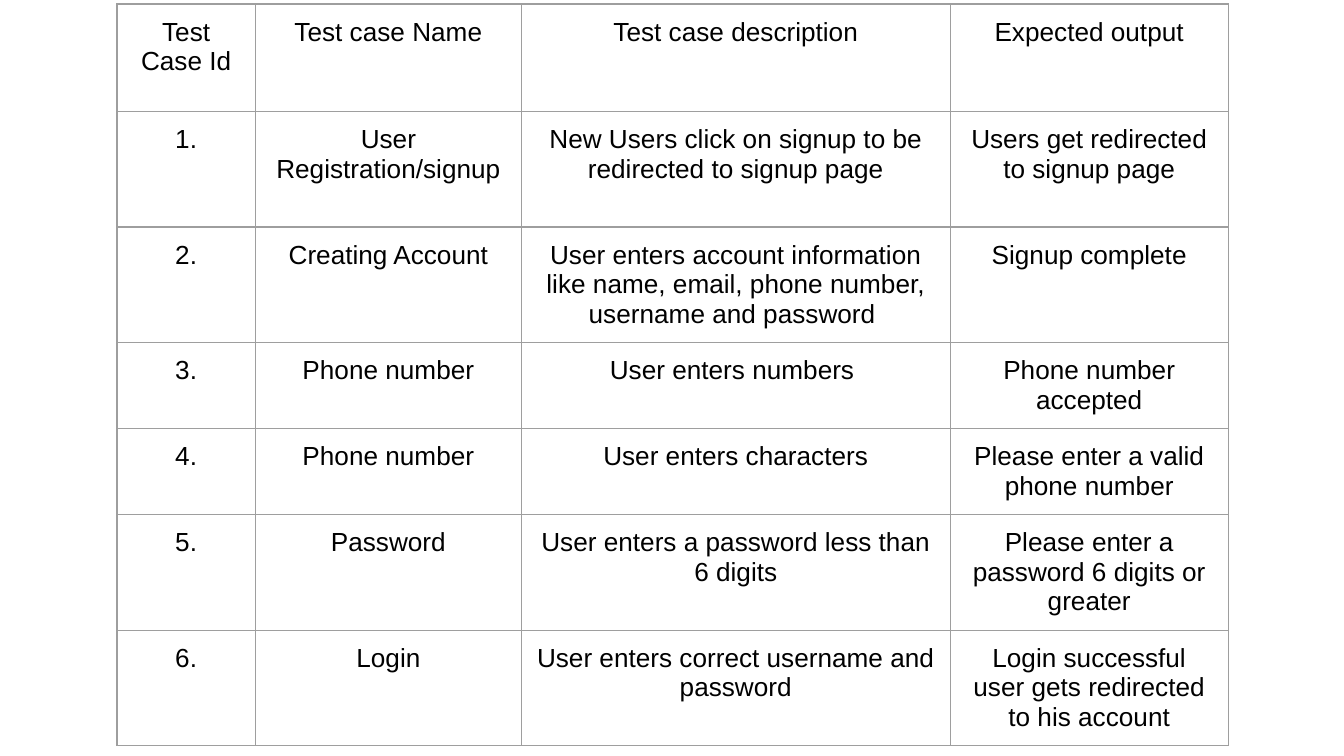
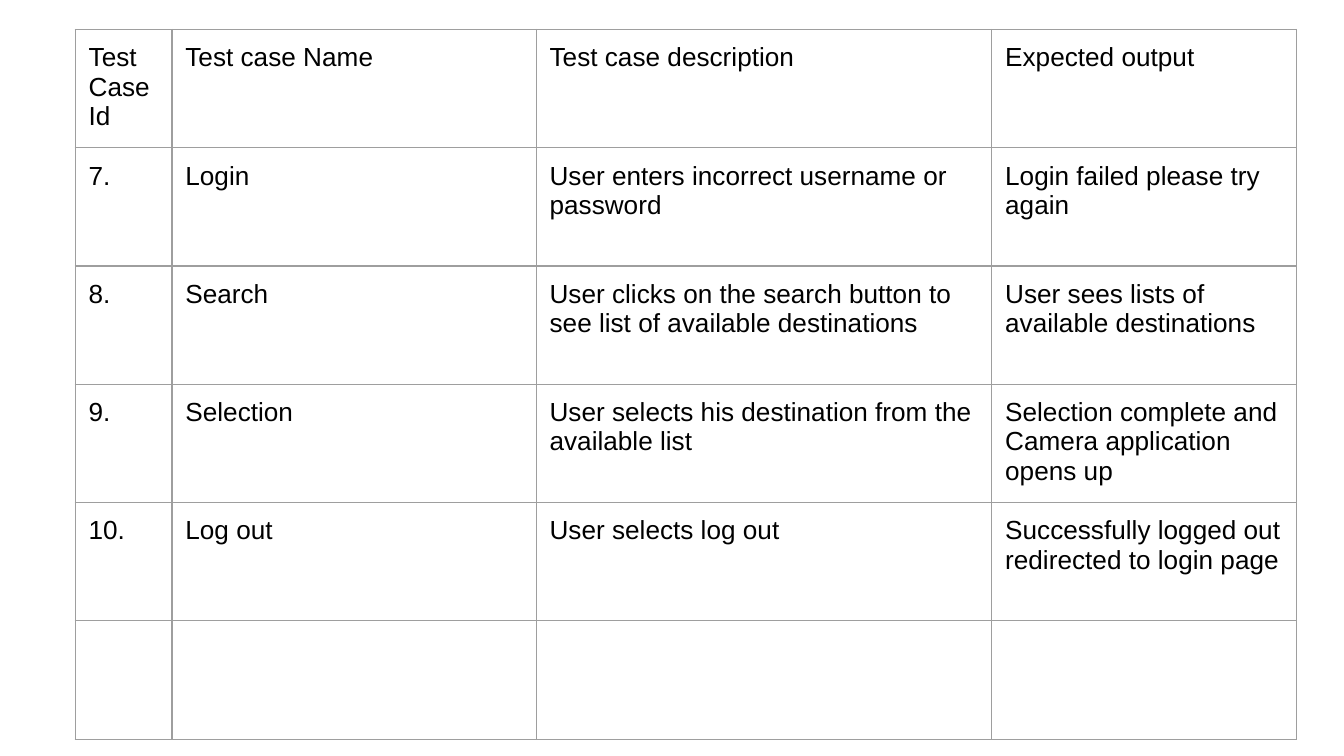
from dataclasses import dataclass

import lxml.etree
import pptx
import pptx.dml.color
import pptx.enum.text
import pptx.oxml.ns
import pptx.util

Inches = pptx.util.Inches
Pt = pptx.util.Pt
RGB = pptx.dml.color.RGBColor
qn = pptx.oxml.ns.qn
ALIGN = pptx.enum.text.PP_ALIGN

SLIDE_WIDTH = 10
SLIDE_HEIGHT = SLIDE_WIDTH * 9 / 16


@dataclass(frozen=True)
class Theme:
    font: str = "Arial"
    text_size: float = 14
    text: str = "000000"
    background: str = "FFFFFF"
    grid: str = "9E9E9E"
    grid_width: float = 0.75
    cell_margin: float = 0.1


THEME = Theme()

HEADINGS = ("Test Case Id", "Test case Name", "Test case description", "Expected output")

TEST_TABLES = [
    {
        "left": 0.87, "top": 0.03, "height": 5.69,
        "columns": (1.03, 1.98, 3.19, 2.07),
        "rows": (0.8, 0.86, 0.86, 0.64, 0.64, 0.86, 0.86),
        "align": ALIGN.CENTER,
        "first_id": 1,
        "cases": [
            ("User Registration/signup",
             "New Users click on signup to be redirected to signup page",
             "Users get redirected to signup page"),
            ("Creating Account",
             "User enters account information like name, email, phone number, "
             "username and password ",
             "Signup complete"),
            ("Phone number", "User enters numbers ", "Phone number accepted"),
            ("Phone number", "User enters characters", "Please enter a valid phone number"),
            ("Password", "User enters a password less than 6 digits",
             "Please enter a password 6 digits or greater"),
            ("Login", "User enters correct username and password",
             "Login successful user gets redirected to his account"),
        ],
    },
    {
        "left": 0.56, "top": 0.22, "height": 5.33,
        "columns": (0.72, 2.71, 3.39, 2.27),
        "rows": (0.88,) * 6,
        "align": ALIGN.LEFT,
        "first_id": 7,
        "cases": [
            ("Login", "User enters incorrect username or password",
             "Login failed please try again"),
            ("Search",
             "User clicks on the search button to see list of available destinations",
             "User sees lists of available destinations"),
            ("Selection", "User selects his destination from the available list",
             "Selection complete and Camera application opens up"),
            ("Log out", "User selects log out",
             "Successfully logged out redirected to login page"),
        ],
    },
]


def write_text(frame, text, *, align, size=THEME.text_size, color=THEME.text):
    paragraph = frame.paragraphs[0]
    paragraph.alignment = align
    run = paragraph.add_run()
    run.text = text
    run.font.name = THEME.font
    run.font.size = Pt(size)
    run.font.color.rgb = RGB.from_string(color)


def style_cell(cell):
    margin = Inches(THEME.cell_margin)
    cell.margin_left = cell.margin_right = margin
    cell.margin_top = cell.margin_bottom = margin
    properties = cell._tc.get_or_add_tcPr()
    for side in ("a:lnL", "a:lnR", "a:lnT", "a:lnB"):
        line = lxml.etree.SubElement(properties, qn(side), w=str(Pt(THEME.grid_width)))
        fill = lxml.etree.SubElement(line, qn("a:solidFill"))
        lxml.etree.SubElement(fill, qn("a:srgbClr"), val=THEME.grid)
    cell.fill.background()


def add_test_table(slide, layout):
    """Place one table; rows beyond the listed cases stay empty."""
    columns, rows = layout["columns"], layout["rows"]
    frame = slide.shapes.add_table(
        len(rows), len(columns), Inches(layout["left"]), Inches(layout["top"]),
        Inches(sum(columns)), Inches(layout["height"]))
    table = frame.table
    table.first_row = table.horz_banding = False
    for column, width in zip(table.columns, columns):
        column.width = Inches(width)
    for row, height in zip(table.rows, rows):
        row.height = Inches(height)
    frame.height = Inches(layout["height"])
    for cell in table.iter_cells():
        style_cell(cell)

    numbered = [(f"{number}.", *case)
                for number, case in enumerate(layout["cases"], layout["first_id"])]
    for row, texts in zip(table.rows, [HEADINGS, *numbered]):
        for cell, text in zip(row.cells, texts):
            write_text(cell.text_frame, text, align=layout["align"])


def main():
    deck = pptx.Presentation()
    deck.slide_width, deck.slide_height = Inches(SLIDE_WIDTH), Inches(SLIDE_HEIGHT)
    background = deck.slide_master.background.fill
    background.solid()
    background.fore_color.rgb = RGB.from_string(THEME.background)
    blank = deck.slide_layouts[6]
    for layout in TEST_TABLES:
        add_test_table(deck.slides.add_slide(blank), layout)
    deck.save("out.pptx")


if __name__ == "__main__":
    main()
